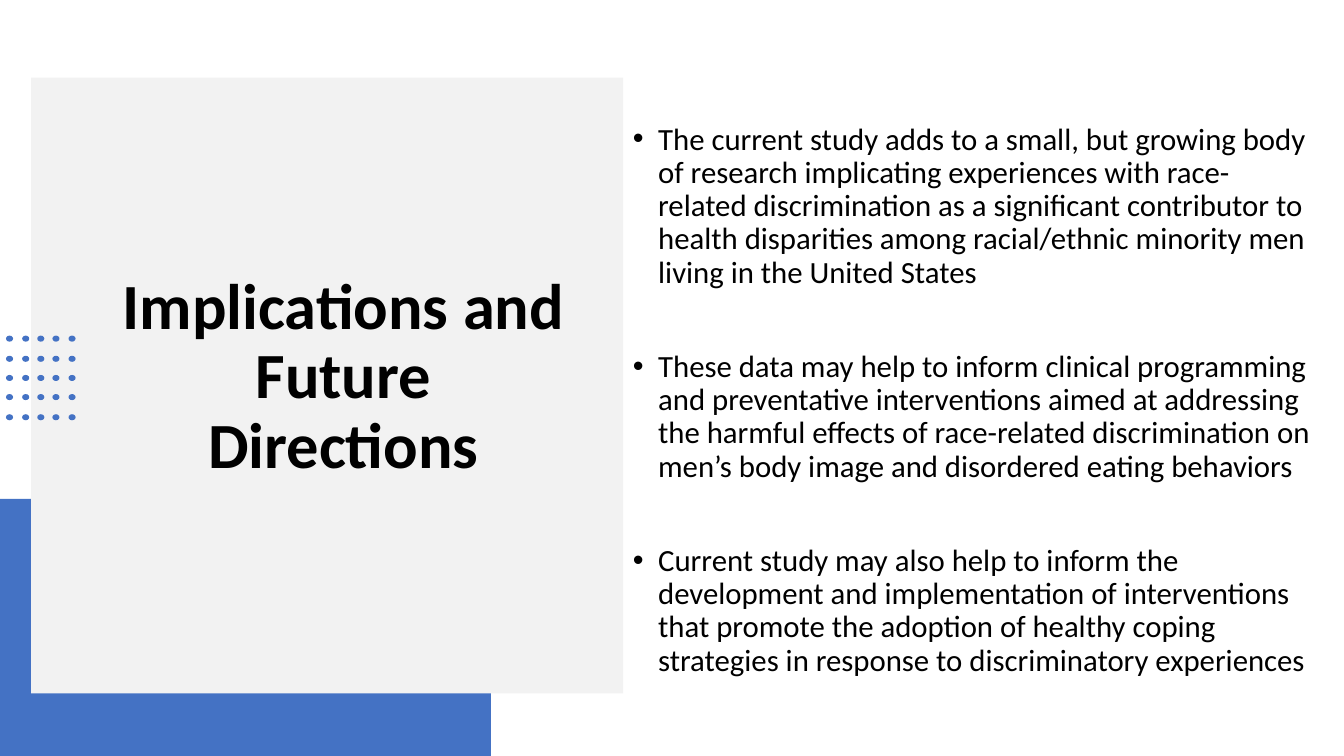
from pptx import Presentation
from pptx.dml.color import RGBColor
from pptx.enum.shapes import MSO_SHAPE
from pptx.enum.text import MSO_ANCHOR, PP_ALIGN
from pptx.util import Pt
from lxml import etree

RECT, OVAL = MSO_SHAPE.RECTANGLE, MSO_SHAPE.OVAL
LEFT, CENTER = PP_ALIGN.LEFT, PP_ALIGN.CENTER
PX = 9144  # 100 px to the inch
BLUE, GRAY, BLACK = "4472C4", "F2F2F2", "000000"
INDENT = 25
NS = "{http://schemas.openxmlformats.org/drawingml/2006/main}"


def add_form(home, kind, box, color):
    form = home.add_shape(kind, *[n * PX for n in box])
    form.shadow.inherit = False
    form.fill.solid()
    form.fill.fore_color.rgb = RGBColor.from_string(color)
    form.line.fill.background()


def add_text(box, lines, size, bold=False, align=LEFT, gap=0, bullet=False):
    frame = slide.shapes.add_textbox(*[n * PX for n in box]).text_frame
    frame.word_wrap = True
    frame.vertical_anchor = MSO_ANCHOR.MIDDLE
    for i, line in enumerate(lines):
        para = frame.add_paragraph() if i else frame.paragraphs[0]
        para.alignment = align
        para.line_spacing = 0.9
        para.space_before = Pt(gap if i else 0)
        run = para.add_run()
        run.text = line
        font = run.font
        font.name, font.size, font.bold = "Calibri", Pt(size), bold
        font.color.rgb = RGBColor.from_string(BLACK)
        if bullet:
            props = para._p.get_or_add_pPr()
            props.set("marL", str(INDENT * PX))
            props.set("indent", str(-INDENT * PX))
            etree.SubElement(props, NS + "buFont", typeface="Arial")
            etree.SubElement(props, NS + "buChar", char="•")


deck = Presentation()
deck.slide_width, deck.slide_height = 1333 * PX, 750 * PX
slide = deck.slides.add_slide(deck.slide_layouts[6])

# Corner block and title panel
add_form(slide.shapes, RECT, (0, 495, 487, 255), BLUE)
add_form(slide.shapes, RECT, (31, 77, 587, 611), GRAY)
add_text((111, 147, 459, 456), ["Implications and Future Directions"], 46,
         bold=True, align=CENTER)

# Dot grid
dots = slide.shapes.add_group_shape().shapes
for col in range(5):
    for row in range(5):
        spot = (6 + round(col * 15.5), 333 + round(row * 19.5), 7, 6)
        add_form(dots, OVAL, spot, BLUE)

# Points
points = [
    "The current study adds to a small, but growing body of research "
    "implicating experiences with race-related discrimination as a "
    "significant contributor to health disparities among racial/ethnic "
    "minority men living in the United States",
    "These data may help to inform clinical programming and preventative "
    "interventions aimed at addressing the harmful effects of race-related "
    "discrimination on men’s body image and disordered eating behaviors",
    "Current study may also help to inform the development and "
    "implementation of interventions that promote the adoption of healthy "
    "coping strategies in response to discriminatory experiences",
]
add_text((618, 56, 696, 683), points, 22, gap=43.5, bullet=True)

deck.save("out.pptx")
